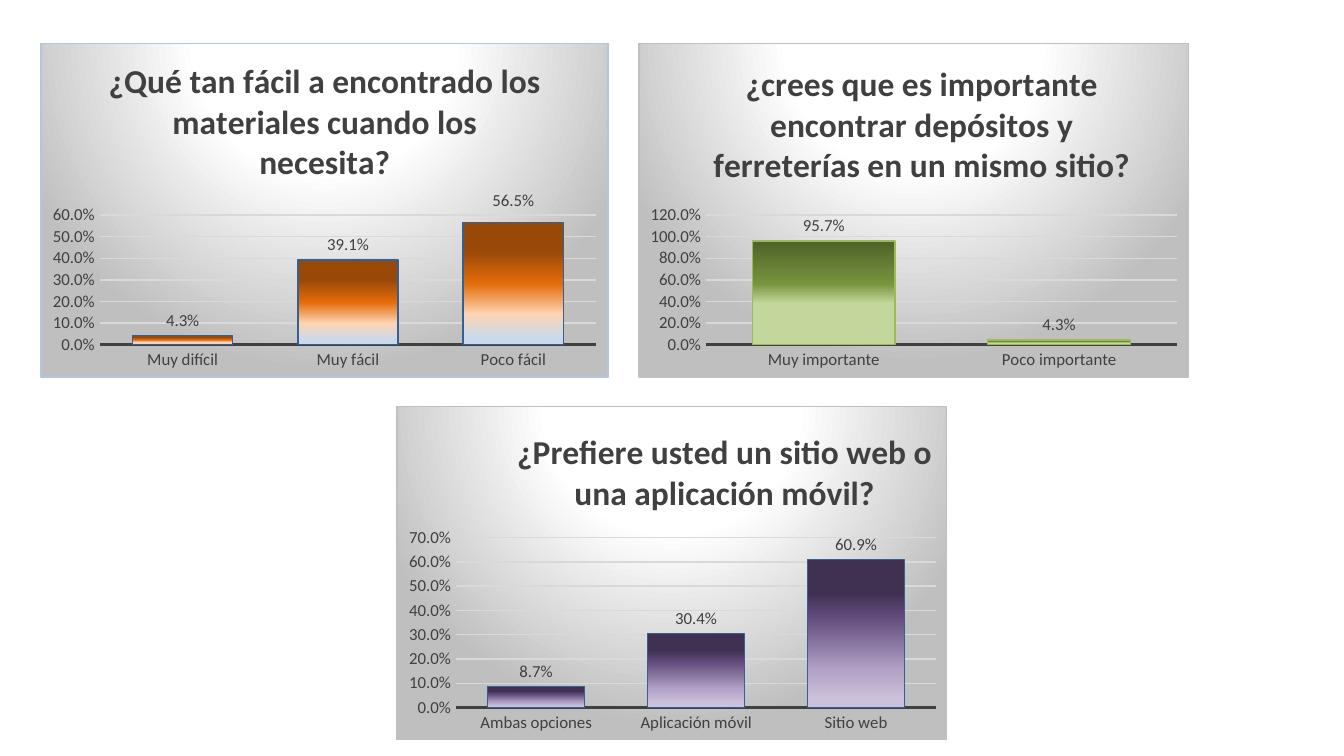
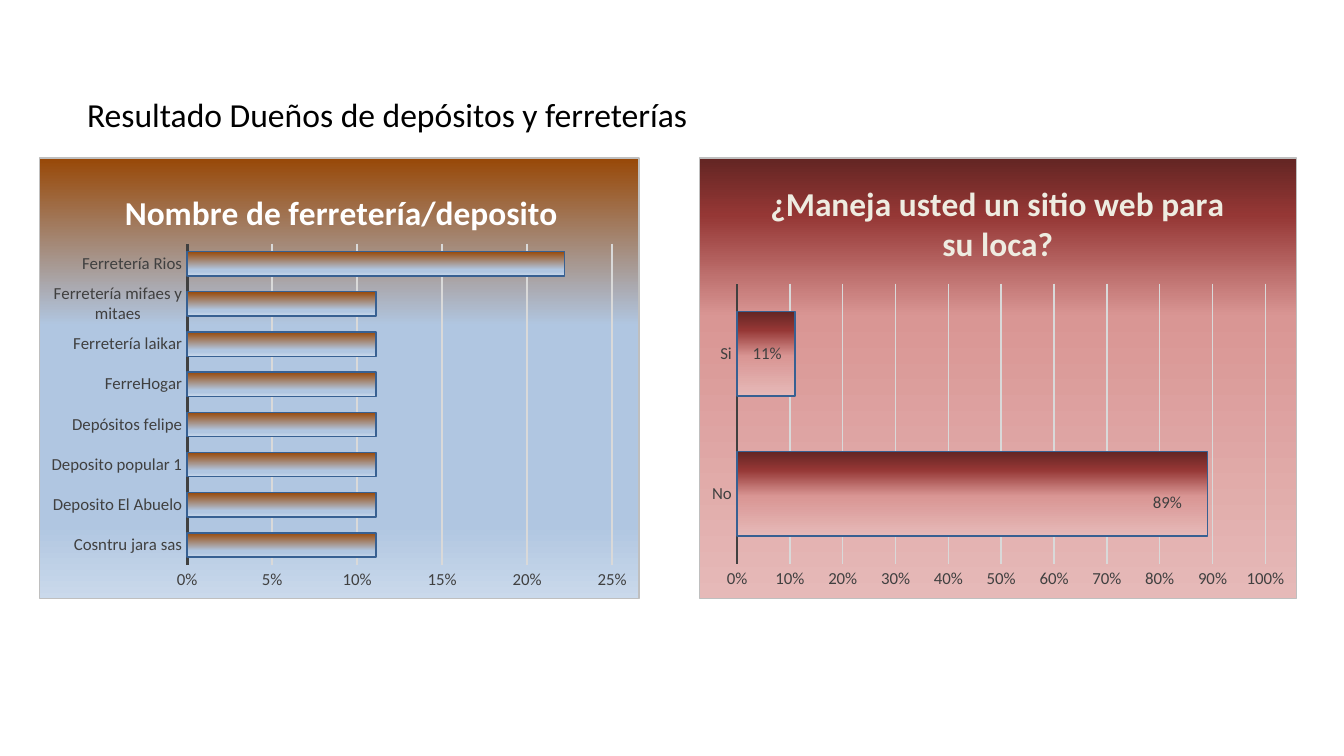
from lxml import etree
from pptx import Presentation
from pptx.chart.data import CategoryChartData
from pptx.dml.color import RGBColor
from pptx.enum.chart import XL_CHART_TYPE, XL_LABEL_POSITION, XL_TICK_MARK
from pptx.oxml import parse_xml
from pptx.oxml.ns import nsdecls, qn
from pptx.util import Inches, Pt

COLUMN = XL_CHART_TYPE.COLUMN_CLUSTERED
BAR = XL_CHART_TYPE.BAR_CLUSTERED
OUTSIDE_END = XL_LABEL_POSITION.OUTSIDE_END
NO_TICK = XL_TICK_MARK.NONE

FONT = "Calibri"
COLORS = {
    "black": "000000", "white": "FFFFFF", "cream": "EEECE1",
    "text": "404040", "grid": "D9D9D9", "border": "BFBFBF",
    "pale_blue": "B0C6E1", "ice": "CAD9EB", "blue": "376092",
    "brown": "984807", "orange": "E46C0A", "peach": "FCD5B5",
    "forest": "4F6228", "olive": "77933C", "lime": "C3D69B", "green": "9BBB59",
    "plum": "403152", "purple": "604A7B", "lilac": "B3A2C7", "lavender": "CCC1DA",
    "wine": "632523", "red": "953735", "rose": "D99694", "blush": "E6B9B8",
}

# Gradients: (position in percent, colour name)
GRADIENTS = {
    "spotlight": [(0, "white"), (39, "white"), (100, "border")],
    "orange_bars": [(23, "brown"), (50, "orange"), (75, "peach"), (94, "ice")],
    "green_bars": [(0, "forest"), (41, "olive"), (60, "lime"), (83, "lime")],
    "purple_bars": [(23, "plum"), (38, "purple"), (75, "lilac"), (94, "lavender")],
    "sky_panel": [(0, "brown"), (38, "pale_blue"), (83, "pale_blue"), (100, "ice")],
    "sky_bars": [(0, "brown"), (74, "pale_blue"), (83, "pale_blue"), (100, "ice")],
    "red_panel": [(0, "wine"), (13, "red"), (36, "rose"), (100, "blush")],
    "red_bars": [(0, "wine"), (22, "red"), (53, "rose"), (100, "blush")],
}

# Keeps moved labels free of leader lines
NO_LEADER_LINES = (
    f'<c:extLst {nsdecls("c")}><c:ext uri="{{CE6537A1-D6FC-4f65-9D91-7224C49458BB}}" '
    'xmlns:c15="http://schemas.microsoft.com/office/drawing/2012/chart">'
    '<c15:showLeaderLines val="0"/></c:ext></c:extLst>')


def rgb(name):
    return RGBColor.from_string(COLORS[name])


def set_font(font, size, color, bold=False):
    font.name = FONT
    font.size = Pt(size)
    font.bold = bold
    font.color.rgb = rgb(color)


def gradient_shape_props(gradient, border):
    """Chart spPr with a gradient fill and a thin border."""
    stops = "".join(
        f'<a:gs pos="{pos * 1000}"><a:srgbClr val="{COLORS[name]}"/></a:gs>'
        for pos, name in GRADIENTS[gradient])
    if gradient == "spotlight":
        direction = ('<a:path path="circle"><a:fillToRect l="50000" t="-80000" '
                     'r="50000" b="180000"/></a:path>')
    else:
        direction = '<a:lin ang="5400000" scaled="0"/>'
    return parse_xml(
        f'<c:spPr {nsdecls("c", "a")}>'
        f'<a:gradFill rotWithShape="1"><a:gsLst>{stops}</a:gsLst>{direction}</a:gradFill>'
        f'<a:ln w="{Pt(0.75)}"><a:solidFill><a:srgbClr val="{COLORS[border]}"/>'
        '</a:solidFill></a:ln></c:spPr>')


def set_layout(parent, after, **values):
    """Give a chart part a manual layout, placed after the child named, or first."""
    for old in parent.findall(qn("c:layout")):
        parent.remove(old)
    layout = etree.Element(qn("c:layout"))
    manual = etree.SubElement(layout, qn("c:manualLayout"))
    for tag, value in values.items():
        etree.SubElement(manual, qn(f"c:{tag}")).set("val", str(value))
    if after:
        parent.find(qn(after)).addnext(layout)
    else:
        parent.insert(0, layout)


def add_title(chart, text, color, box, title_at):
    chart.has_title = True
    title = chart.chart_title
    title.include_in_layout = False
    r = title.text_frame.paragraphs[0].add_run()
    r.text = text
    set_font(r.font, 18, color, bold=True)
    if title_at:
        left, top, width, height = box
        set_layout(title._element, "c:tx", xMode="edge", yMode="edge",
                   x=(title_at[0] - left) / width, y=(title_at[1] - top) / height)


def style_axes(chart, fmt, top, step):
    cat, val = chart.category_axis, chart.value_axis
    for axis in (cat, val):
        axis.major_tick_mark = axis.minor_tick_mark = NO_TICK
        set_font(axis.tick_labels.font, 9, "text")
    cat.has_major_gridlines = False
    cat.format.line.color.rgb = rgb("text")
    cat.format.line.width = Pt(1.5)
    val.minimum_scale, val.maximum_scale, val.major_unit = 0, top, step
    val.format.line.fill.background()
    val.tick_labels.number_format = fmt
    val.tick_labels.number_format_is_linked = False
    grid = val.major_gridlines.format.line
    grid.color.rgb = rgb("grid")
    grid.width = Pt(0.75)


def add_labels(series, fmt, shifts):
    """Value labels; shifts moves single ones by fractions of the chart."""
    labels = series.data_labels
    labels.show_value = True
    labels.number_format = fmt
    labels.number_format_is_linked = False
    labels.position = OUTSIDE_END
    set_font(labels.font, 9, "text")
    for idx, (dx, dy) in shifts.items():
        label = series.points[idx].data_label
        set_font(label.font, 9, "text")
        label.position = OUTSIDE_END
        for dlbl in labels._element.findall(qn("c:dLbl")):
            if dlbl.find(qn("c:idx")).get("val") == str(idx):
                set_layout(dlbl, "c:idx", x=dx, y=dy)
    for leader in labels._element.findall(qn("c:showLeaderLines")):
        leader.set("val", "0")
    labels._element.append(parse_xml(NO_LEADER_LINES))


def add_survey_chart(s, kind, box, plot_box, title, answers, bars, panel="spotlight",
                     bar_line="blue", border="border", title_color="text",
                     title_at=None, fmt="0.0%", top=1, step=0.1,
                     labels=True, shifts=None):
    data = CategoryChartData(number_format=fmt)
    data.categories = list(answers)
    data.add_series("Series 1", list(answers.values()))
    chart = s.shapes.add_chart(kind, *map(Inches, box), data).chart
    chart.has_legend = False
    set_font(chart.font, 10, "black")
    add_title(chart, title, title_color, box, title_at)
    style_axes(chart, fmt, top, step)

    # Panel and plot area
    space = chart._chartSpace
    space.chart.addnext(gradient_shape_props(panel, border))
    left, upper, width, height = box
    px, py, pw, ph = plot_box
    set_layout(space.chart.plotArea, None, layoutTarget="inner",
               xMode="edge", yMode="edge", x=(px - left) / width,
               y=(py - upper) / height, w=pw / width, h=ph / height)

    # Bars
    plot = chart.plots[0]
    plot.gap_width = 65
    plot.vary_by_categories = False
    series = plot.series[0]
    series.invert_if_negative = False
    series._element.find(qn("c:tx")).addnext(gradient_shape_props(bars, bar_line))
    if labels:
        add_labels(series, fmt, shifts or {})


def add_heading(s, text, box):
    tf = s.shapes.add_textbox(*map(Inches, box)).text_frame
    tf.word_wrap = True
    r = tf.paragraphs[0].add_run()
    r.text = text
    set_font(r.font, 18, "black")


def build_customer_slide(s):
    add_survey_chart(
        s, COLUMN, (0.3, 0.32, 4.23, 2.49), (0.74, 1.6, 3.7, 0.97),
        "¿Qué tan fácil a encontrado los materiales cuando los necesita?",
        {"Muy difícil": 0.043, "Muy fácil": 0.391, "Poco fácil": 0.565},
        "orange_bars", border="pale_blue", title_at=(0.76, 0.38), top=0.6,
        shifts={2: (0, -0.02)})
    add_survey_chart(
        s, COLUMN, (4.75, 0.32, 4.1, 2.49), (5.25, 1.6, 3.51, 0.97),
        "¿crees que es importante encontrar depósitos y ferreterías en un mismo sitio?",
        {"Muy importante": 0.957, "Poco importante": 0.043},
        "green_bars", bar_line="green", title_at=(5.26, 0.4), top=1.2, step=0.2)
    add_survey_chart(
        s, COLUMN, (2.95, 3.02, 4.1, 2.49), (3.39, 4, 3.58, 1.27),
        "¿Prefiere usted un sitio web o una aplicación móvil?",
        {"Ambas opciones": 0.087, "Aplicación móvil": 0.304, "Sitio web": 0.609},
        "purple_bars", title_at=(3.8, 3.14), top=0.7)


def build_owner_slide(s):
    add_heading(s, "Resultado Dueños de depósitos y ferreterías", (0.55, 0.65, 7.34, 0.4))
    stores = ["Cosntru jara sas", "Deposito El Abuelo", "Deposito popular 1",
              "Depósitos felipe", "FerreHogar", "Ferretería laikar",
              "Ferretería mifaes y mitaes"]
    add_survey_chart(
        s, BAR, (0.29, 1.17, 4.47, 3.29), (1.39, 1.81, 3.17, 2.4),
        "Nombre de ferretería/deposito",
        {**dict.fromkeys(stores, 0.111), "Ferretería Rios": 0.222},
        "sky_bars", "sky_panel", title_color="white", title_at=(0.88, 1.36),
        fmt="0%", top=0.25, step=0.05, labels=False)
    add_survey_chart(
        s, BAR, (5.2, 1.17, 4.45, 3.29), (5.48, 2.11, 3.94, 2.09),
        "¿Maneja usted un sitio web para su loca?", {"No": 0.89, "Si": 0.11},
        "red_bars", "red_panel", title_color="cream", fmt="0%",
        shifts={0: (-0.1, 0.02), 1: (-0.08, 0)})


def main():
    prs = Presentation()
    # Widescreen, 16:9
    prs.slide_width = Inches(10)
    prs.slide_height = prs.slide_width * 9 // 16
    for build in (build_customer_slide, build_owner_slide):
        build(prs.slides.add_slide(prs.slide_layouts[6]))
    prs.save("out.pptx")


if __name__ == "__main__":
    main()
